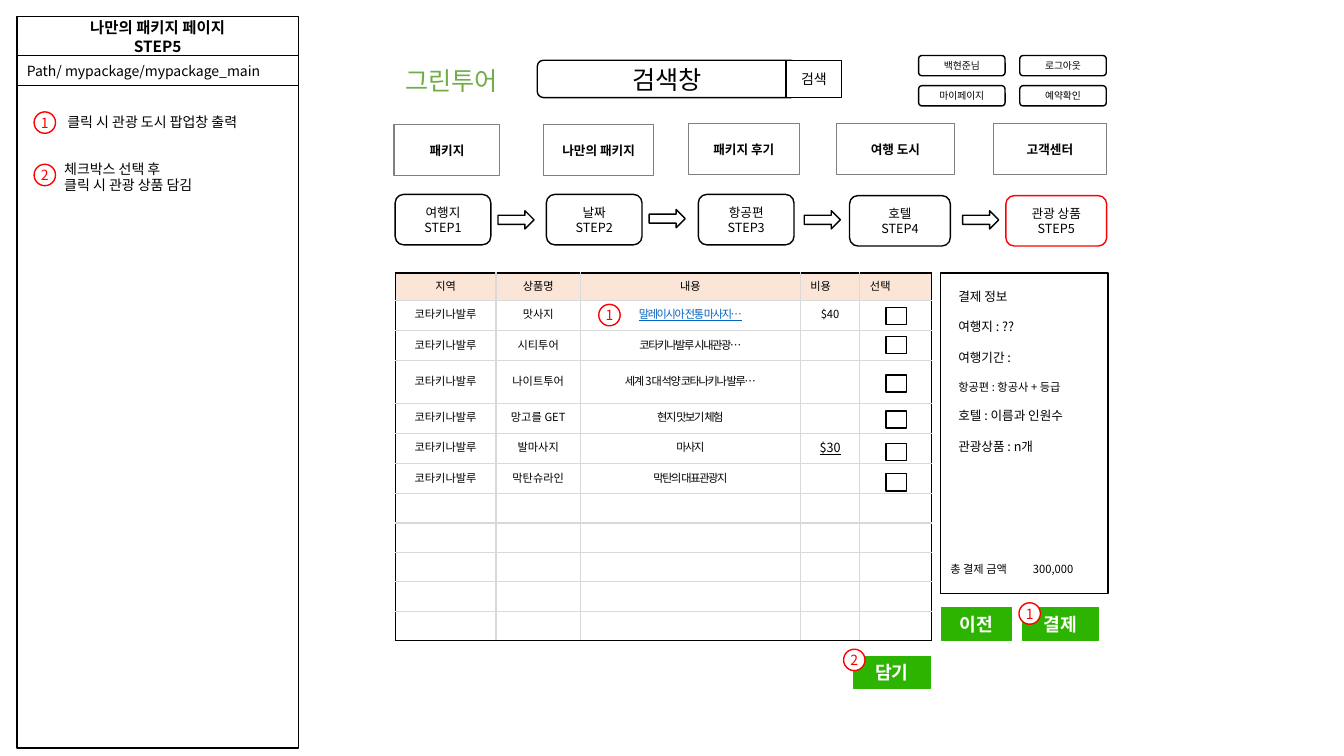
from dataclasses import dataclass

from lxml import etree
from pptx import Presentation
from pptx.dml.color import RGBColor
from pptx.enum.shapes import MSO_SHAPE
from pptx.enum.text import MSO_ANCHOR, PP_ALIGN
from pptx.oxml.ns import qn
from pptx.util import Cm, Pt

RECT, ROUNDED = MSO_SHAPE.RECTANGLE, MSO_SHAPE.ROUNDED_RECTANGLE
ELLIPSE, ARROW = MSO_SHAPE.OVAL, MSO_SHAPE.RIGHT_ARROW
LEFT, CENTER, JUSTIFY = PP_ALIGN.LEFT, PP_ALIGN.CENTER, PP_ALIGN.JUSTIFY
TOP, MIDDLE = MSO_ANCHOR.TOP, MSO_ANCHOR.MIDDLE

BLACK = RGBColor(0x00, 0x00, 0x00)
WHITE = RGBColor(0xFF, 0xFF, 0xFF)
RED = RGBColor(0xFF, 0x00, 0x00)
GRAY = RGBColor(0x80, 0x80, 0x80)
GRID = RGBColor(0xD9, 0xD9, 0xD9)
PEACH = RGBColor(0xFB, 0xE5, 0xD6)
BUTTON_GREEN = RGBColor(0x2D, 0xB4, 0x00)
LOGO_GREEN = RGBColor(0x70, 0xAD, 0x47)
LINK_BLUE = RGBColor(0x05, 0x63, 0xC1)
FONT = "Noto Sans CJK KR"
LINE_FACTOR = 1.2


@dataclass(frozen=True)
class Style:
    size: float
    color: RGBColor = BLACK
    bold: bool = False
    underline: bool = False
    tracking: int = 0
    align: PP_ALIGN = CENTER


@dataclass(frozen=True)
class Line:
    text: str
    style: Style
    before: float = 0
    tab: float = 0


@dataclass(frozen=True)
class Box:
    left: float
    top: float
    width: float
    height: float
    lines: tuple[Line, ...] = ()
    kind: MSO_SHAPE = RECT
    fill: RGBColor | None = WHITE
    border: RGBColor = BLACK
    weight: float = 1
    anchor: MSO_ANCHOR = MIDDLE
    inset: float = 0.25
    wrap: bool = True


def lines(style: Style, *texts: str) -> tuple[Line, ...]:
    return tuple(Line(text, style) for text in texts)


def write(frame, content: tuple[Line, ...]) -> None:
    for index, line in enumerate(content):
        paragraph = frame.paragraphs[0] if index == 0 else frame.add_paragraph()
        style = line.style
        if line.tab:
            tabs = etree.SubElement(paragraph._p.get_or_add_pPr(), qn("a:tabLst"))
            etree.SubElement(tabs, qn("a:tab"), pos=str(Cm(line.tab)), algn="l")
        paragraph.alignment = style.align
        paragraph.line_spacing = Pt(style.size * LINE_FACTOR)
        if line.before:
            paragraph.space_before = Pt(line.before)
        run = paragraph.add_run()
        run.text = line.text
        font = run.font
        font.size, font.bold, font.underline = Pt(style.size), style.bold, style.underline
        font.color.rgb = style.color
        font.name = FONT
        properties = run._r.get_or_add_rPr()
        etree.SubElement(properties, qn("a:ea"), typeface=FONT)
        if style.tracking:
            properties.set("spc", str(style.tracking))


def draw(slide, box: Box) -> None:
    shape = slide.shapes.add_shape(
        box.kind, Cm(box.left), Cm(box.top), Cm(box.width), Cm(box.height))
    shape.shadow.inherit = False
    if box.fill is None:
        shape.fill.background()
    else:
        shape.fill.solid()
        shape.fill.fore_color.rgb = box.fill
    shape.line.color.rgb = box.border
    shape.line.width = Pt(box.weight)
    if box.lines:
        frame = shape.text_frame
        frame.word_wrap = box.wrap
        frame.vertical_anchor = box.anchor
        frame.margin_left = frame.margin_right = Cm(box.inset)
        write(frame, box.lines)


def draw_text(slide, left: float, top: float, width: float, height: float,
              content: tuple[Line, ...]) -> None:
    frame = slide.shapes.add_textbox(Cm(left), Cm(top), Cm(width), Cm(height)).text_frame
    frame.word_wrap = True
    write(frame, content)


def border_cell(cell, edges: dict[str, RGBColor]) -> None:
    properties = cell._tc.get_or_add_tcPr()
    for index, (side, color) in enumerate(edges.items()):
        edge = etree.Element(qn(f"a:ln{side}"), w=str(Pt(1)))
        solid = etree.SubElement(edge, qn("a:solidFill"))
        etree.SubElement(solid, qn("a:srgbClr"), val=str(color))
        properties.insert(index, edge)


SMALL = Style(8)
NARROW = Style(8, tracking=-100)
HEADER = Style(8, align=JUSTIFY)
LINK = Style(8, LINK_BLUE, underline=True, tracking=-100)
STEP = Style(9)
MENU = Style(9, bold=True)
NOTE = Style(10, align=LEFT)
INFO = Style(9, align=LEFT)
INFO_SMALL = Style(8, align=LEFT)
BUTTON = Style(13, WHITE, bold=True)
MARK = Style(10, RED)

COLUMNS = (2.54, 2.13, 5.54, 1.5, 1.8)
ROWS = (0.69, 0.76, 0.76, 1.07, 0.76, 0.76, 0.76) + (0.74,) * 5
REGION = "코타키나발루"
PRODUCTS = (
    ("맛사지", "말레이시아 전통 마사지…", LINK, "$40", SMALL),
    ("시티투어", "코타키나발루 시내관광…", NARROW, "", SMALL),
    ("나이트투어", "세계 3대 석양 코타나키나 발루…", NARROW, "", SMALL),
    ("망고를 GET", "현지 맛보기 체험", NARROW, "", SMALL),
    ("발마사지", "마사지", NARROW, "$30", Style(9, underline=True)),
    ("막탄슈라인", "막탄의 대표관광지", NARROW, "", SMALL),
)
ACCOUNT = (("백현준님", "로그아웃"), ("마이페이지", "예약확인"))
MENUS = (("패키지", 9.93, 3.15, 2.67), ("나만의 패키지", 13.69, 3.15, 2.79),
         ("패키지 후기", 17.35, 3.12, 2.79), ("여행 도시", 21.08, 3.12, 2.97),
         ("고객센터", 25.04, 3.12, 2.84))
STEPS = (("여행지", 9.96, 4.9, 2.41, BLACK), ("날짜", 13.77, 4.9, 2.41, BLACK),
         ("항공편", 17.6, 4.9, 2.41, BLACK), ("호텔", 21.41, 4.93, 2.54, BLACK),
         ("관광 상품", 25.35, 4.93, 2.54, RED))
ARROWS = ((12.55, 5.31), (16.36, 5.28), (20.27, 5.31), (24.26, 5.31))
CHECKBOX_TOPS = (7.75, 8.48, 9.45, 10.36, 11.18, 11.94)
BUTTONS = (("결제", 25.76, 15.32, 1.93), ("이전", 23.72, 15.32, 1.78),
           ("담기", 21.51, 16.54, 1.93))
MARKS = (("1", 0.86, 2.82), ("2", 0.86, 4.14), ("1", 15.09, 7.67),
         ("2", 21.26, 16.36), ("1", 25.68, 15.19))


def draw_products(slide) -> None:
    table = slide.shapes.add_table(
        len(ROWS), len(COLUMNS), Cm(9.96), Cm(6.88), Cm(sum(COLUMNS)), Cm(sum(ROWS))).table
    table.first_row = table.horz_banding = False
    for column, width in zip(table.columns, COLUMNS):
        column.width = Cm(width)
    for row, height in zip(table.rows, ROWS):
        row.height = Cm(height)
    grid = [lines(SMALL, "지역", "상품명", "내용") + lines(HEADER, "비용", "선택")]
    for name, detail, detail_style, price, price_style in PRODUCTS:
        grid.append((Line(REGION, SMALL), Line(name, SMALL), Line(detail, detail_style),
                     Line(price, price_style), Line("", SMALL)))
    grid += [lines(SMALL, *[""] * len(COLUMNS))] * (len(ROWS) - len(grid))
    last_row, last_column = len(ROWS) - 1, len(COLUMNS) - 1
    for r, entries in enumerate(grid):
        for c, entry in enumerate(entries):
            cell = table.cell(r, c)
            cell.vertical_anchor = MIDDLE
            if r == 0:
                cell.fill.solid()
                cell.fill.fore_color.rgb = PEACH
            else:
                cell.fill.background()
            if entry.text:
                write(cell.text_frame, (entry,))
            else:
                etree.SubElement(cell.text_frame.paragraphs[0]._p,
                                 qn("a:endParaRPr"), sz="800")
            border_cell(cell, {"L": BLACK if c == 0 else GRID,
                               "R": BLACK if c == last_column else GRID,
                               "T": BLACK if r == 0 else GRID,
                               "B": BLACK if r == last_row else GRID})


def main() -> None:
    deck = Presentation()
    deck.slide_width, deck.slide_height = Cm(33.87), Cm(19.05)
    slide = deck.slides.add_slide(deck.slide_layouts[6])

    boxes = [
        Box(0.43, 1.78, 7.09, 17.07),
        Box(0.43, 0.41, 7.09, 1.04,
            lines(Style(11, bold=True), "나만의 패키지 페이지", "STEP5")),
        Box(0.43, 1.4, 7.09, 0.76, lines(NOTE, "Path/ mypackage/mypackage_main")),
        Box(13.54, 1.52, 6.55, 0.94, lines(Style(18), "검색창"), ROUNDED),
        Box(19.81, 1.52, 1.4, 0.94, lines(Style(10), "검색")),
        Box(23.7, 6.88, 4.22, 8.08, fill=None),
    ]
    boxes += [Box(23.15 + 2.55 * c, 1.4 + 0.76 * r, 2.18, 0.51, lines(Style(7), label), ROUNDED)
              for r, labels in enumerate(ACCOUNT) for c, label in enumerate(labels)]
    boxes += [Box(left, top, width, 1.27, lines(MENU, label), fill=None, border=GRAY,
                  weight=0.75, inset=0.1, wrap=False) for label, left, top, width in MENUS]
    boxes += [Box(left, top, width, 1.27, lines(STEP, label, f"STEP{number}"), ROUNDED,
                  border=color)
              for number, (label, left, top, width, color) in enumerate(STEPS, 1)]
    boxes += [Box(left, top, 0.91, 0.46, kind=ARROW) for left, top in ARROWS]
    for box in boxes:
        draw(slide, box)

    draw_products(slide)
    overlays = [Box(22.33, top, 0.51, 0.43) for top in CHECKBOX_TOPS]
    overlays += [Box(left, top, width, 0.81, lines(BUTTON, label), fill=BUTTON_GREEN,
                     border=BUTTON_GREEN, weight=0.75, anchor=TOP)
                 for label, left, top, width in BUTTONS]
    overlays += [Box(left, top, 0.54, 0.54, lines(MARK, number), ELLIPSE, border=RED, inset=0)
                 for number, left, top in MARKS]
    for box in overlays:
        draw(slide, box)

    draw_text(slide, 9.96, 1.52, 3.43, 1.02,
              lines(Style(18, LOGO_GREEN, align=LEFT), "그린투어"))
    draw_text(slide, 1.45, 2.74, 5.92, 0.69, lines(NOTE, "클릭 시 관광 도시 팝업창 출력"))
    draw_text(slide, 1.37, 3.91, 5.92, 1.12,
              lines(NOTE, "체크박스 선택 후", "클릭 시 관광 상품 담김"))
    draw_text(slide, 23.9, 7.16, 3.89, 4.45, (
        Line("결제 정보", INFO), Line("여행지 : ??", INFO, 10.8),
        Line("여행기간 :", INFO, 10.8), Line("항공편 : 항공사 + 등급", INFO_SMALL, 10.8),
        Line("호텔 : 이름과 인원수", INFO, 10.8), Line("관광상품 : n개", INFO, 10.8)))
    draw_text(slide, 23.7, 14.05, 4.22, 0.61,
              (Line("총 결제 금액\t300,000", INFO_SMALL, tab=2.08),))
    deck.save("out.pptx")


if __name__ == "__main__":
    main()
